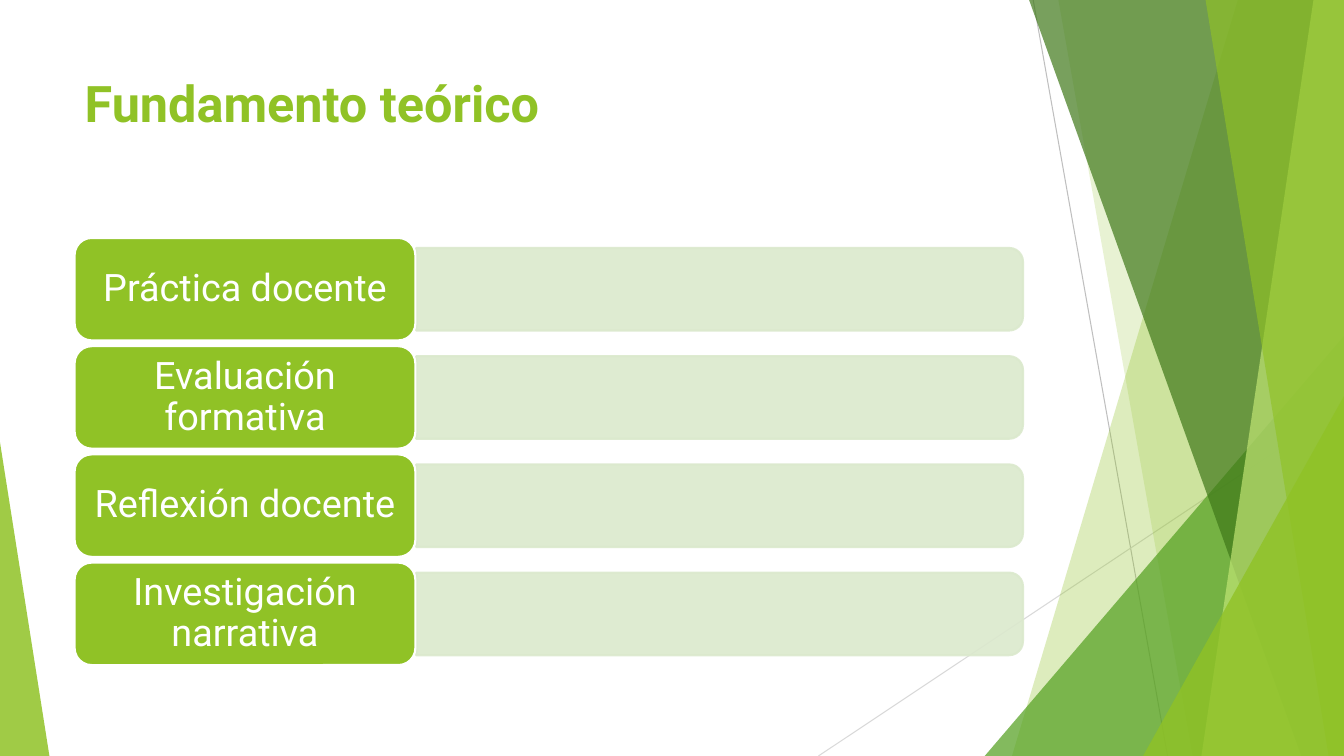
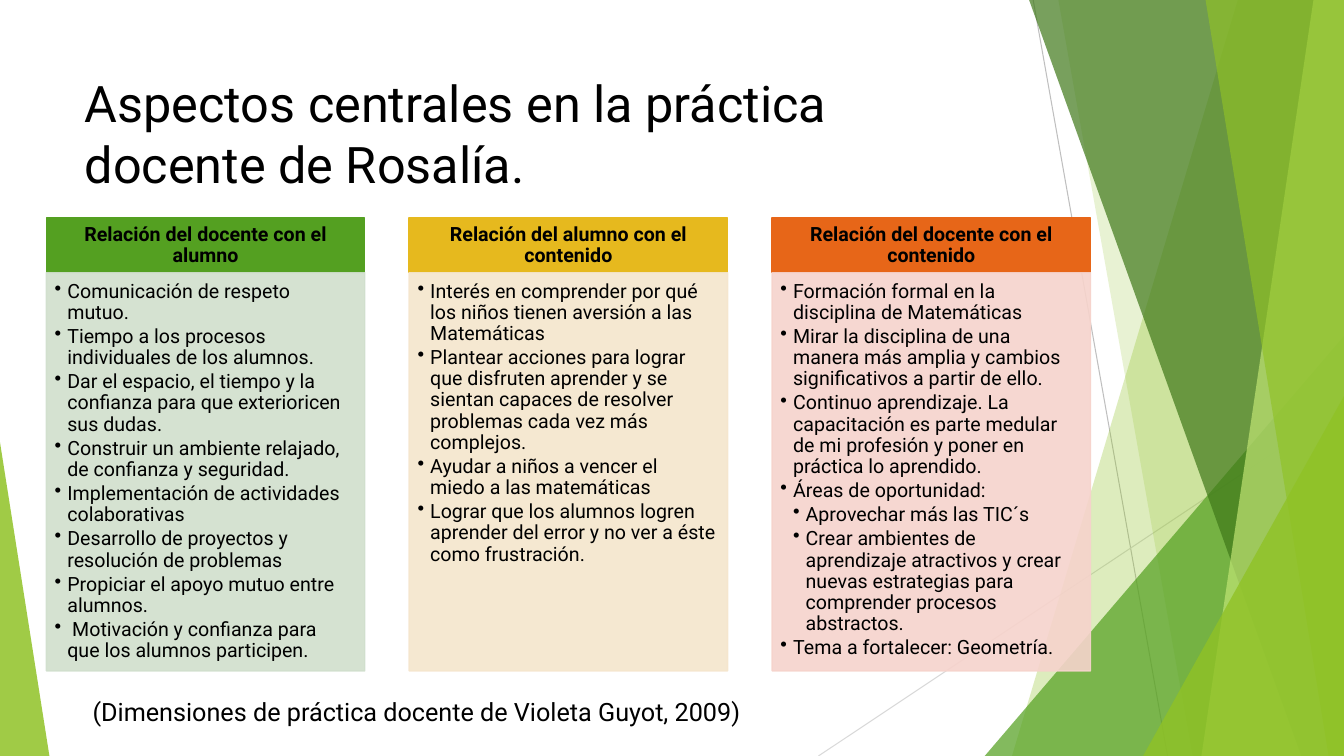
from pptx import Presentation
from pptx.dml.color import RGBColor
from pptx.enum.shapes import MSO_CONNECTOR, MSO_SHAPE
from pptx.enum.text import MSO_ANCHOR, MSO_AUTO_SIZE, PP_ALIGN
from pptx.oxml.ns import qn
from pptx.oxml.xmlchemy import OxmlElement
from pptx.util import Pt

FONT = "Roboto"
WIDE, HIGH = 960, 540
LIME = RGBColor(0x90, 0xC2, 0x26)
GREEN = RGBColor(0x54, 0xA0, 0x21)
DARK = RGBColor(0x3F, 0x78, 0x19)
PALE = RGBColor(0xC0, 0xE4, 0x74)
GOLD = RGBColor(0xE6, 0xB9, 0x1E)
RUST = RGBColor(0xE7, 0x66, 0x18)
MIST = RGBColor(0xDB, 0xE9, 0xCD)
SAGE = RGBColor(0xD1, 0xDF, 0xCD)
CREAM = RGBColor(0xF5, 0xE6, 0xCD)
ROSE = RGBColor(0xF6, 0xD3, 0xCC)
GREY = RGBColor(0xBF, 0xBF, 0xBF)
SILVER = RGBColor(0xD9, 0xD9, 0xD9)
WHITE = RGBColor(0xFF, 0xFF, 0xFF)
BLACK = RGBColor(0, 0, 0)


def paint(shape, fill, alpha=100, edge=None, width=1):
    """Fill a shape, with an optional edge, at an opacity in percent."""
    shape.shadow.inherit = False
    shape.fill.solid()
    shape.fill.fore_color.rgb = fill
    if edge is None:
        shape.line.fill.background()
    else:
        shape.line.color.rgb = edge
        shape.line.width = Pt(width)
    if alpha < 100:
        for tint in shape.element.spPr.iter(qn("a:srgbClr")):
            node = OxmlElement("a:alpha")
            node.set("val", str(alpha * 1000))
            tint.append(node)


def write(frame, text, size, color=BLACK, bold=False, align=PP_ALIGN.LEFT,
          anchor=MSO_ANCHOR.TOP, space=1.0):
    """Set the text of a frame and format all its runs."""
    frame.text = text
    frame.word_wrap = True
    frame.auto_size = MSO_AUTO_SIZE.NONE
    frame.vertical_anchor = anchor
    for para in frame.paragraphs:
        para.alignment = align
        para.line_spacing = space
        for run in para.runs:
            run.font.name = FONT
            run.font.size = Pt(size)
            run.font.bold = bold
            run.font.color.rgb = color


prs = Presentation()
prs.slide_width, prs.slide_height = Pt(WIDE), Pt(HIGH)
layout = prs.slide_layouts[5]
head = layout.placeholders[0]
head.left, head.top, head.width, head.height = Pt(53.3), Pt(48.2), Pt(676.8), Pt(103.7)

titles = [
    ("Fundamento teórico", LIME, True),
    ("Aspectos centrales en la práctica docente de Rosalía.", BLACK, False),
]
slides = []
for text, color, bold in titles:
    slide = prs.slides.add_slide(layout)
    write(slide.shapes.title.text_frame, text, 36, color, bold)
    slides.append(slide)
theory, aspects = slides

# Shared backdrop, drawn once and moved to the slide master
decor = []
for x1, y1, x2, y2, color in [(738, 0, 834, HIGH, GREY),
                              (WIDE, 290, 584.6, HIGH, SILVER)]:
    line = theory.shapes.add_connector(
        MSO_CONNECTOR.STRAIGHT, Pt(x1), Pt(y1), Pt(x2), Pt(y2))
    line.line.color.rgb = color
    line.line.width = Pt(0.75)
    line.element.spPr.append(OxmlElement("a:effectLst"))
    decor.append(line)

# apex x, apex y, foot x, colour, opacity
shards = [
    (884.2, 0, 722.9, LIME, 30),
    (756, 0, 851.8, LIME, 20),
    (WIDE, 240, 703.4, GREEN, 72),
    (735.1, 0, 929.5, DARK, 70),
    (938.2, 0, 858.2, PALE, 70),
    (861.1, 0, 949, LIME, 65),
    (WIDE, 283, 816.5, LIME, 80),
    (0, 316, 35.3, LIME, 85),
]
for apex, top, foot, color, alpha in shards:
    if top:
        shard = theory.shapes.add_shape(
            MSO_SHAPE.ISOSCELES_TRIANGLE, Pt(min(apex, foot)), Pt(top),
            Pt(abs(apex - foot)), Pt(HIGH - top))
        shard.adjustments[0] = 1 if apex > foot else 0
    else:
        pen = theory.shapes.build_freeform(Pt(apex), Pt(0))
        pen.add_line_segments([(Pt(WIDE), Pt(0)), (Pt(WIDE), Pt(HIGH)),
                               (Pt(foot), Pt(HIGH))])
        shard = pen.convert_to_shape()
    paint(shard, color, alpha)
    decor.append(shard)

tree = prs.slide_master.shapes.element
for num, item in enumerate(decor, 101):
    item.element.xpath(".//p:cNvPr")[0].set("id", str(num))
    tree.append(item.element)

# Slide 1: one label and one track per topic
topics = ["Práctica docente", "Evaluación formativa",
          "Reflexión docente", "Investigación narrativa"]
for row, topic in enumerate(topics):
    top = 170 + row * 77.3
    mid = top + 73.2 / 2
    track = theory.shapes.add_shape(
        MSO_SHAPE.ROUND_2_SAME_RECTANGLE, Pt(484.5), Pt(mid - 433.4 / 2),
        Pt(59), Pt(433.4))
    track.rotation = 90
    paint(track, MIST, 90, MIST, 1.5)
    label = theory.shapes.add_shape(
        MSO_SHAPE.ROUNDED_RECTANGLE, Pt(53.3), Pt(top), Pt(243.4), Pt(73.2))
    paint(label, LIME, 100, WHITE, 1.5)
    frame = label.text_frame
    frame.margin_left = frame.margin_right = Pt(7)
    frame.margin_top = frame.margin_bottom = Pt(4)
    write(frame, topic, 27, WHITE, False, PP_ALIGN.CENTER, MSO_ANCHOR.MIDDLE, 0.9)

# Slide 2: heading, colours, points, and which points are nested
columns = [
    ("Relación del docente con el alumno", GREEN, SAGE, [
        "Comunicación de respeto mutuo.",
        "Tiempo a los procesos individuales de los alumnos.",
        "Dar el espacio, el tiempo y la confianza para que exterioricen sus dudas.",
        "Construir un ambiente relajado, de confianza y seguridad.",
        "Implementación de actividades colaborativas",
        "Desarrollo de proyectos y resolución de problemas",
        "Propiciar el apoyo mutuo entre alumnos.",
        " Motivación y confianza para que los alumnos participen.",
    ], []),
    ("Relación del alumno con el contenido", GOLD, CREAM, [
        "Interés en comprender por qué los niños tienen aversión a las Matemáticas",
        "Plantear acciones para lograr que disfruten aprender y se sientan capaces "
        "de resolver problemas cada vez más complejos.",
        "Ayudar a niños a vencer el miedo a las matemáticas",
        "Lograr que los alumnos logren aprender del error y no ver a éste como "
        "frustración.",
    ], []),
    ("Relación del docente con el contenido", RUST, ROSE, [
        "Formación formal en la disciplina de Matemáticas",
        "Mirar la disciplina de una manera más amplia y cambios significativos a "
        "partir de ello.",
        "Continuo aprendizaje. La capacitación es parte medular de mi profesión y "
        "poner en práctica lo aprendido.",
        "Áreas de oportunidad:",
        "Aprovechar más las TIC´s",
        "Crear ambientes de aprendizaje atractivos y crear nuevas estrategias para "
        "comprender procesos abstractos.",
        "Tema a fortalecer: Geometría.",
    ], [4, 5]),
]
for col, (name, color, tint, points, nested) in enumerate(columns):
    left = 33.1 + col * 259.2
    band = aspects.shapes.add_shape(
        MSO_SHAPE.RECTANGLE, Pt(left), Pt(155.6), Pt(227.5), Pt(39.2))
    paint(band, color, 100, color)
    frame = band.text_frame
    frame.margin_left = frame.margin_right = Pt(8)
    frame.margin_top = frame.margin_bottom = Pt(4)
    write(frame, name, 14, BLACK, True, PP_ALIGN.CENTER, MSO_ANCHOR.MIDDLE, 0.9)

    panel = aspects.shapes.add_shape(
        MSO_SHAPE.RECTANGLE, Pt(left), Pt(194.8), Pt(227.5), Pt(284.4))
    paint(panel, tint, 90, tint)
    frame = panel.text_frame
    frame.margin_left = frame.margin_top = Pt(6)
    frame.margin_right, frame.margin_bottom = Pt(8), Pt(9)
    write(frame, "\n".join(points), 14, space=0.9)
    for row, para in enumerate(frame.paragraphs):
        para.level = 2 if row in nested else 1
        para.space_after = Pt(2.1)
        props = para._p.get_or_add_pPr()
        props.set("marL", str(Pt(9 * para.level)))
        props.set("indent", str(Pt(-9)))
        mark = OxmlElement("a:buChar")
        mark.set("char", "•")
        props.append(mark)

note = aspects.shapes.add_textbox(Pt(59), Pt(493.9), Pt(711.4), Pt(29))
write(note.text_frame, "(Dimensiones de práctica docente de Violeta Guyot, 2009)", 18)

prs.save("out.pptx")
